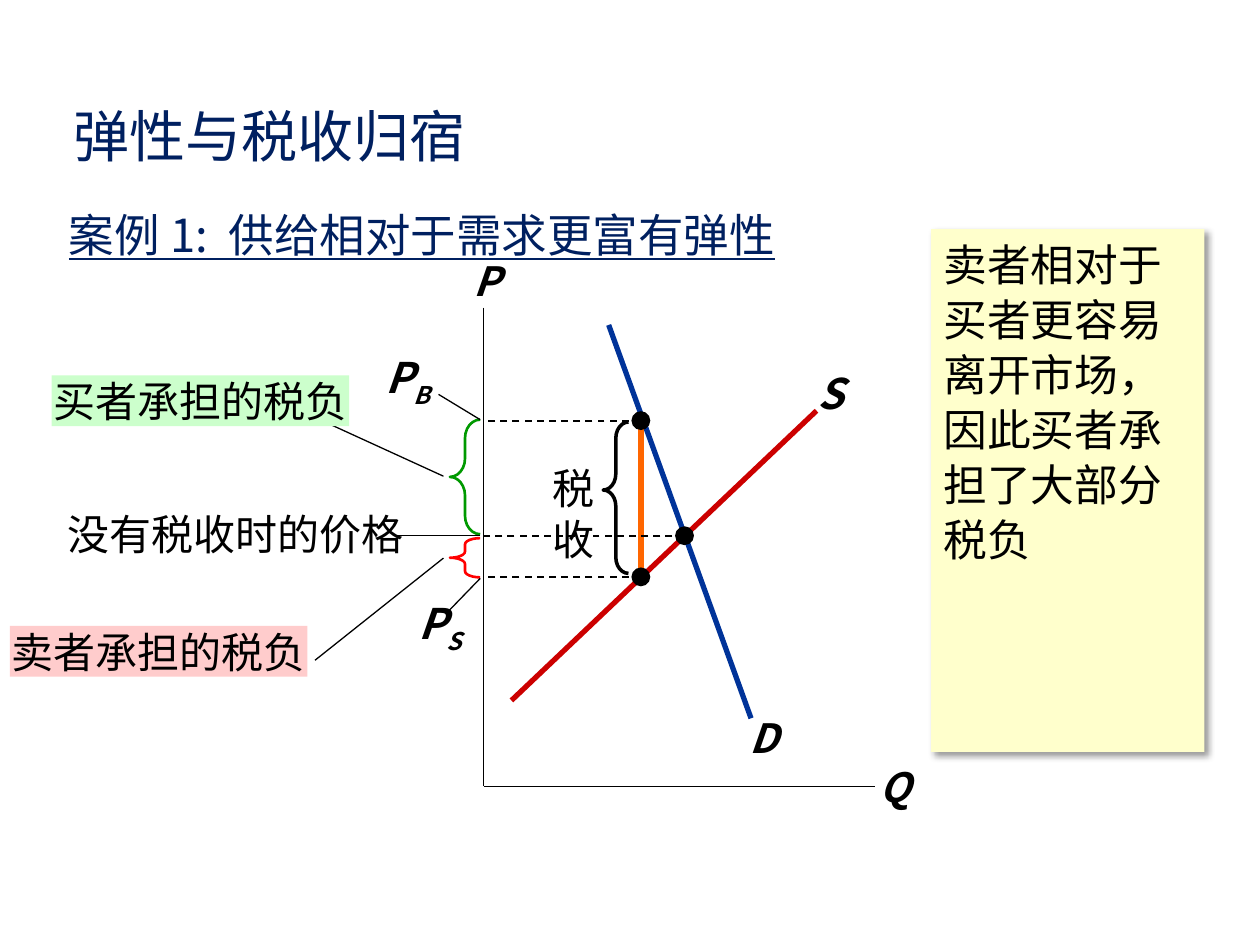
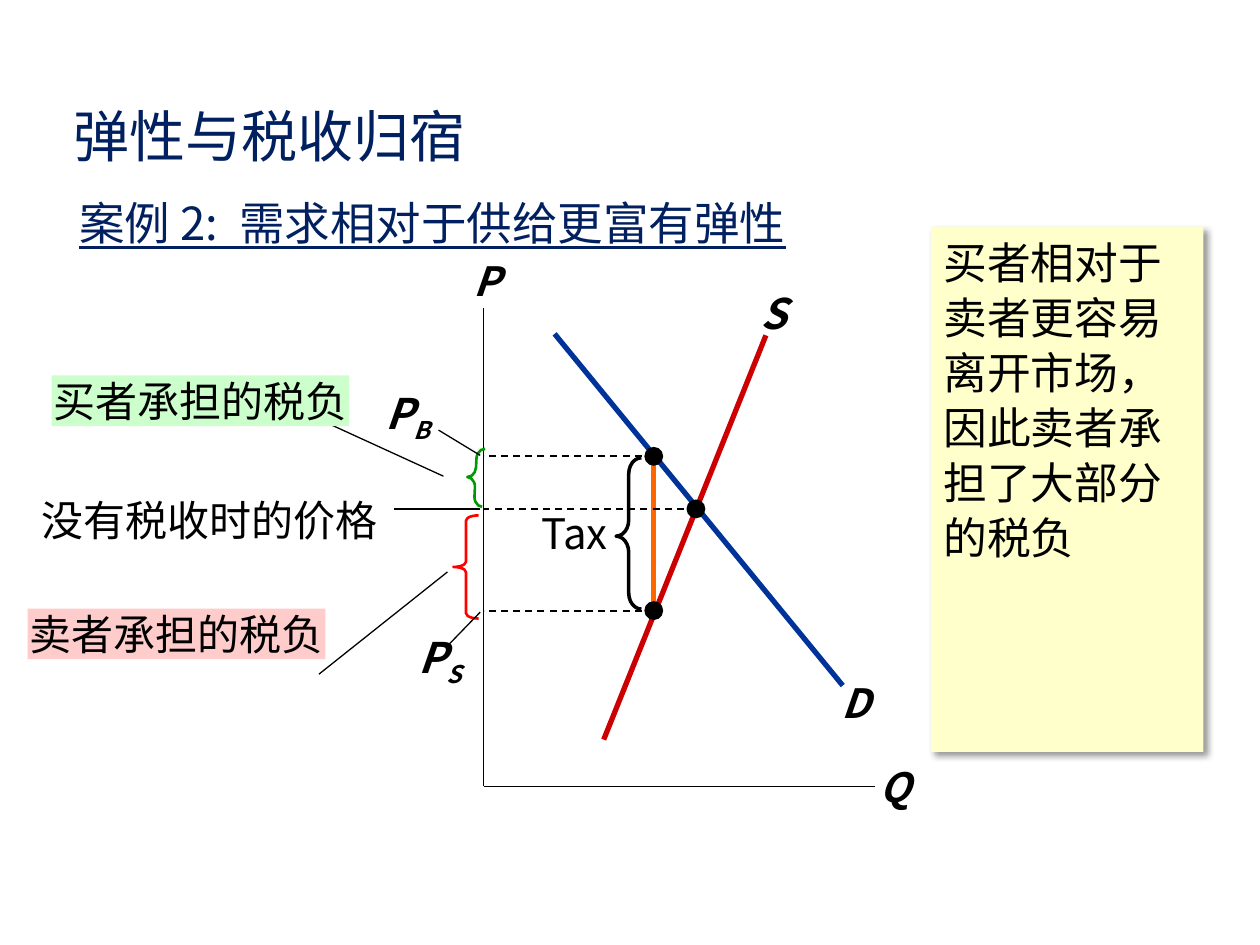
from dataclasses import dataclass

from lxml import etree
from pptx import Presentation
from pptx.dml.color import RGBColor
from pptx.enum.dml import MSO_LINE
from pptx.enum.shapes import MSO_CONNECTOR, MSO_SHAPE
from pptx.enum.text import MSO_ANCHOR, PP_ALIGN
from pptx.oxml.ns import qn
from pptx.util import Cm, Pt

# Shared style
FONT = "Noto Sans CJK SC"
NAVY = RGBColor(0x00, 0x20, 0x60)
BLACK = RGBColor(0x00, 0x00, 0x00)
BLUE = RGBColor(0x00, 0x33, 0x99)
CRIMSON = RGBColor(0xCC, 0x00, 0x00)
ORANGE = RGBColor(0xFF, 0x66, 0x00)
GREEN = RGBColor(0x00, 0x99, 0x00)
RED = RGBColor(0xFF, 0x00, 0x00)
PALE_GREEN = RGBColor(0xCC, 0xFF, 0xCC)
PALE_RED = RGBColor(0xFF, 0xCC, 0xCC)
PALE_YELLOW = RGBColor(0xFF, 0xFF, 0xCC)

SYMBOL = {"bold": True, "italic": True}
TIGHT = {f"margin_{side}": 0 for side in ("left", "top", "right", "bottom")}

# Axes and sizes in centimetres
AXIS_X, AXIS_TOP, AXIS_Y, AXIS_RIGHT = 9.75, 6.2, 15.85, 17.63
LEADER_X = 9.68
DOT = 0.38
LABEL_W, LABEL_H = 6, 1.02


@dataclass
class Case:
    heading: str
    heading_at: tuple
    note: str
    note_box: tuple
    demand: tuple
    demand_label: tuple
    supply: tuple
    supply_label: tuple
    equilibrium: tuple
    tax_x: float
    buyer_y: float
    seller_y: float
    tax_text: str
    tax_text_y: float
    tax_text_h: float
    tax_brace_mid: float
    price_label: tuple
    buyer_brace: tuple
    buyer_turn: float
    seller_brace: tuple
    seller_label: tuple
    seller_leader: tuple


CASES = [
    Case(
        heading="案例 1:  供给相对于需求更富有弹性",
        heading_at=(1.14, 4.04),
        note="卖者相对于买者更容易离开市场，因此买者承担了大部分税负",
        note_box=(18.77, 4.62, 5.51, 10.54),
        demand=(12.27, 6.55, 15.14, 14.48),
        demand_label=(14.86, 14.25),
        supply=(10.31, 14.12, 16.46, 8.28),
        supply_label=(16.23, 7.29),
        equilibrium=(13.8, 10.8),
        tax_x=12.92, buyer_y=8.48, seller_y=11.63,
        tax_text="税收", tax_text_y=9.19, tax_text_h=2.31,
        tax_brace_mid=0.449,
        price_label=(1.35, 10.24),
        buyer_brace=(9.07, 8.46, 0.61, 2.31), buyer_turn=0,
        seller_brace=(9.07, 10.85, 0.61, 0.79),
        seller_label=(0.2, 12.62),
        seller_leader=(8.94, 11.25),
    ),
    Case(
        heading="案例 2:  需求相对于供给更富有弹性",
        heading_at=(1.35, 3.81),
        note="买者相对于卖者更容易离开市场，因此卖者承担了大部分的税负",
        note_box=(18.77, 4.57, 5.49, 10.59),
        demand=(11.18, 6.73, 16.99, 13.82),
        demand_label=(16.71, 13.54),
        supply=(12.17, 14.91, 15.44, 6.76),
        supply_label=(15.09, 5.66),
        equilibrium=(14.03, 10.26),
        tax_x=13.18, buyer_y=9.2, seller_y=12.31,
        tax_text="Tax", tax_text_y=10.11, tax_text_h=1.27,
        tax_brace_mid=0.518,
        price_label=(0.81, 9.96),
        buyer_brace=(9.42, 9.04, 0.33, 1.17), buyer_turn=3,
        seller_brace=(9.14, 10.39, 0.51, 2.08),
        seller_label=(0.56, 12.27),
        seller_leader=(9.02, 11.53),
    ),
]


class Board:
    """Holds the presentation, its style and the current slide."""

    def __init__(self):
        self.prs = Presentation()
        self.prs.slide_width, self.prs.slide_height = Cm(25.4), Cm(19.05)
        self.s = None

    def new_slide(self):
        self.s = self.prs.slides.add_slide(self.prs.slide_layouts[6])

    def fill_text(self, sp, text, size, color=BLACK, align=PP_ALIGN.CENTER,
                  sub="", spacing=None, frame=None, font=None):
        tf = sp.text_frame
        settings = {"word_wrap": True, "vertical_anchor": MSO_ANCHOR.MIDDLE}
        for name, value in {**settings, **(frame or {})}.items():
            setattr(tf, name, value)
        p = tf.paragraphs[0]
        p.alignment = align
        p.line_spacing = spacing
        for part in filter(None, (text, sub)):
            r = p.add_run()
            r.text = part
            style = {"name": FONT, "size": Pt(size), **(font or {})}
            for name, value in style.items():
                setattr(r.font, name, value)
            r.font.color.rgb = color
            rPr = r._r.get_or_add_rPr()
            etree.SubElement(rPr, qn("a:ea")).set("typeface", FONT)
            if part == sub:
                rPr.set("baseline", "-25000")

    def text(self, box, text, size, **style):
        sp = self.s.shapes.add_textbox(*map(Cm, box))
        self.fill_text(sp, text, size, **style)

    def shape(self, kind, box, fill=None, line=None, width=1.0):
        sp = self.s.shapes.add_shape(kind, *map(Cm, box))
        sp.shadow.inherit = False
        if fill is None:
            sp.fill.background()
        else:
            sp.fill.solid()
            sp.fill.fore_color.rgb = fill
        if line is None:
            sp.line.fill.background()
        else:
            sp.line.color.rgb = line
            sp.line.width = Pt(width)
        return sp

    def line(self, x1, y1, x2, y2, color=BLACK, width=0.75, dash=None):
        cn = self.s.shapes.add_connector(
            MSO_CONNECTOR.STRAIGHT, *map(Cm, (x1, y1, x2, y2)))
        cn.line.color.rgb = color
        cn.line.width = Pt(width)
        cn.line.dash_style = dash
        etree.SubElement(cn.element.spPr, qn("a:effectLst"))

    def brace(self, box, color, width, curl, mid=0.5, turn=0):
        sp = self.shape(MSO_SHAPE.LEFT_BRACE, box, line=color, width=width)
        sp.adjustments[0], sp.adjustments[1] = curl, mid
        sp.rotation = turn

    def label(self, at, text, fill=None, width=LABEL_W):
        sp = self.shape(MSO_SHAPE.RECTANGLE, (*at, width, LABEL_H), fill)
        self.fill_text(sp, text, 24, frame=TIGHT)

    def symbol(self, at, text, size=23):
        self.text((*at, 1.02, 1.22 if size == 23 else 1.27), text, size,
                  font=SYMBOL)

    def price_point(self, x, y):
        """Dashed line from the price axis to a dot."""
        self.line(x, y, AXIS_X, y, width=1, dash=MSO_LINE.DASH)
        self.shape(MSO_SHAPE.OVAL, (x - DOT / 2, y - DOT / 2, DOT, DOT), BLACK)

    def note(self, box, text):
        sp = self.shape(MSO_SHAPE.RECTANGLE, box, PALE_YELLOW)
        effects = sp.element.spPr.find(qn("a:effectLst"))
        shadow = etree.SubElement(effects, qn("a:outerShdw"))
        for name, value in {"blurRad": Pt(4), "dist": Pt(3),
                            "dir": 45 * 60000, "algn": "tl"}.items():
            shadow.set(name, str(value))
        clr = etree.SubElement(shadow, qn("a:srgbClr"))
        clr.set("val", str(BLACK))
        etree.SubElement(clr, qn("a:alpha")).set("val", "40000")
        self.fill_text(sp, text, 25, align=PP_ALIGN.LEFT, spacing=1.05,
                       frame={"vertical_anchor": MSO_ANCHOR.TOP})


def draw_case(b, c):
    b.new_slide()

    # Title and case heading
    b.text((1.19, 2.03, 8.48, 1.37), "弹性与税收归宿", 32, color=NAVY,
           frame={"word_wrap": False})
    b.text((*c.heading_at, 20.14, 1.6), c.heading, 26, color=NAVY,
           align=PP_ALIGN.LEFT, font={"underline": True},
           frame={"vertical_anchor": MSO_ANCHOR.TOP})

    # Axes
    b.line(AXIS_X, AXIS_TOP, AXIS_X, AXIS_Y)
    b.line(AXIS_X, AXIS_Y, AXIS_RIGHT, AXIS_Y)
    b.symbol((9.3, 5.05), "P")
    b.symbol((17.48, 15.24), "Q")

    # Demand and supply curves
    b.symbol(c.demand_label, "D")
    b.line(*c.demand, BLUE, 3)
    b.symbol(c.supply_label, "S", 24)
    b.line(*c.supply, CRIMSON, 3)

    # Tax wedge
    b.line(c.tax_x, c.seller_y, c.tax_x, c.buyer_y, ORANGE, 3)
    b.brace((c.tax_x - 0.76, c.buyer_y + 0.03, 0.51, 3.05), BLACK, 2,
            0.637, c.tax_brace_mid)
    b.text((c.tax_x - 2.64, c.tax_text_y, 1.96, c.tax_text_h), c.tax_text, 24,
           align=PP_ALIGN.RIGHT)

    # Buyers' share
    b.brace(c.buyer_brace, GREEN, 1.5, 0.61, turn=c.buyer_turn)
    b.line(6.12, 8.31, 8.94, 9.6)
    b.label((1.04, 7.57), "买者承担的税负", PALE_GREEN)

    # Sellers' share
    x, y = c.seller_leader
    b.brace(c.seller_brace, RED, 1.5, 0.206)
    b.line(x, y, x - 2.59, y + 2.06)
    b.label(c.seller_label, "卖者承担的税负", PALE_RED)

    # Price without tax
    b.price_point(*c.equilibrium)
    b.label(c.price_label, "没有税收时的价格", width=6.81)
    b.line(LEADER_X, c.equilibrium[1], 7.94, c.equilibrium[1])

    # Price paid by buyers and price received by sellers
    for y, sub, box, start, end in (
            (c.buyer_y, "B", (7.14, -1.45, 1.78), -0.02, (8.84, -0.53)),
            (c.seller_y, "S", (8, 0.36, 1.55), 0.03, (9.06, 0.67))):
        left, offset, width = box
        b.price_point(c.tax_x, y)
        b.text((left, y + offset, width, 1.27), "P", 24, sub=sub,
               align=PP_ALIGN.RIGHT, font=SYMBOL)
        b.line(LEADER_X, y + start, end[0], y + end[1])

    b.note(c.note_box, c.note)


def main():
    b = Board()
    for case in CASES:
        draw_case(b, case)
    b.prs.save("out.pptx")


if __name__ == "__main__":
    main()
